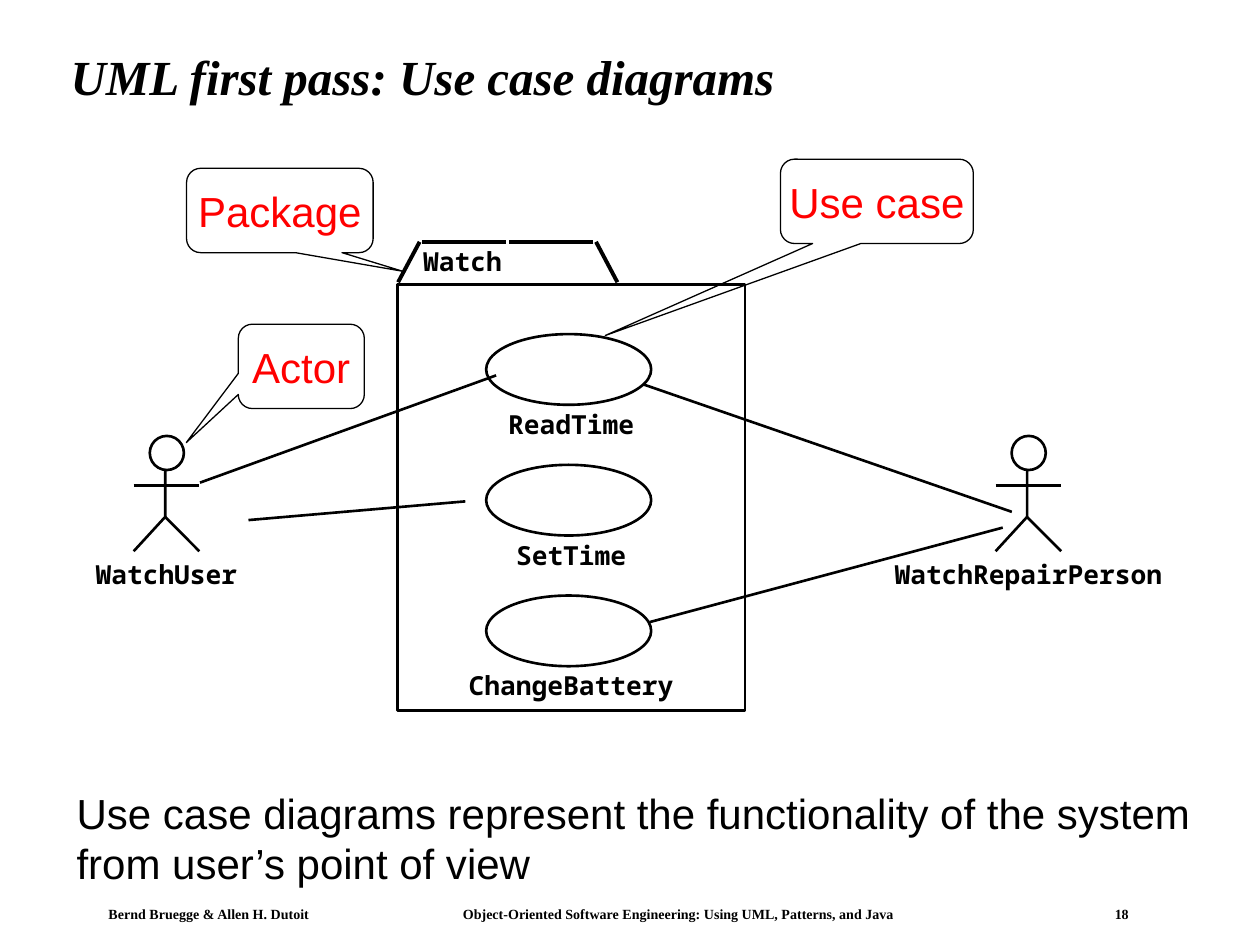
import pptx
import pptx.util
import pptx.oxml
import pptx.oxml.ns
import pptx.dml.color
import pptx.enum.shapes
import pptx.enum.text

Pt = pptx.util.Pt
Kind = pptx.enum.shapes.MSO_SHAPE
Align = pptx.enum.text.PP_ALIGN
Mid = pptx.enum.text.MSO_ANCHOR.MIDDLE
Grow = pptx.enum.text.MSO_AUTO_SIZE.SHAPE_TO_FIT_TEXT
BLACK, WHITE, RED = "000000", "FFFFFF", "FF0000"
SERIF, SANS, MONO = "Times New Roman", "Arial", "Noto Sans Mono"

TITLE = "UML first pass: Use case diagrams"
NOTE = ["Use case diagrams represent the functionality of the system",
        "from user’s point of view"]
FOOTER = ["Bernd Bruegge & Allen H. Dutoit",
          "Object-Oriented Software Engineering: Using UML, Patterns, and Java", "18"]
STOPS = [202.5, 575]
ACTORS = [("WatchUser", 76.4), ("WatchRepairPerson", 568.9)]
CASES = ["ReadTime", "SetTime", "ChangeBattery"]
LINKS = [(114.3, 275.8, 283.5, 214.5), (142, 297.2, 265.9, 286.5),
         (371.2, 355.5, 573, 301.5), (367.5, 219.6, 578.2, 292.5)]
CALLS = [("Actor", 136.2, 185.3, 72, (-0.913, 0.904)),
         ("Use case", 446, 91, 110.2, (-1.408, 1.591)),
         ("Package", 106.6, 96.2, 106.6, (0.658, 0.721))]
FRAME = (227, 162.7, 198.7, 243.4)
TAB = [(227.5, 161.3, 239.8, 138.2), (241.2, 138.2, 289.4, 138.2),
       (352.8, 161.3, 340.6, 138.2), (339.1, 138.2, 290.9, 138.2)]

deck = pptx.Presentation()
deck.slide_width, deck.slide_height = Pt(720), Pt(540)
slide = deck.slides.add_slide(deck.slide_layouts[5])
shapes = slide.shapes


def tint(code):
    return pptx.dml.color.RGBColor.from_string(code)


def pts(*nums):
    return [Pt(n) for n in nums]


def write(para, text, face, size, color=BLACK, bold=False, slant=False):
    run = para.add_run()
    run.text = text
    font = run.font
    font.name, font.size, font.bold, font.italic = face, Pt(size), bold, slant
    font.color.rgb = tint(color)


def inset(frame, side, top):
    frame.margin_left = frame.margin_right = Pt(side)
    frame.margin_top = frame.margin_bottom = Pt(top)


def box(spot, lines, face, size, bold=False, pad=(0, 0), align=Align.LEFT):
    frame = shapes.add_textbox(*pts(*spot)).text_frame
    frame.word_wrap, frame.auto_size = False, Grow
    inset(frame, *pad)
    for i, text in enumerate(lines):
        para = frame.add_paragraph() if i else frame.paragraphs[0]
        para.alignment = align
        write(para, text, face, size, bold=bold)
    return frame


def label(name, mid, top):
    wide = 9.1 * len(name) + 4
    box((mid - wide / 2, top, wide, 18), [name], MONO, 15, True, align=Align.CENTER)


def style(shape, fill=None, width=1.5):
    shape.shadow.inherit = False
    if fill:
        shape.fill.solid()
        shape.fill.fore_color.rgb = tint(fill)
    else:
        shape.fill.background()
    shape.line.color.rgb = tint(BLACK)
    shape.line.width = Pt(width)
    return shape


def draw(kind, spot, fill=None, width=1.5):
    return style(shapes.add_shape(kind, *pts(*spot)), fill, width)


def link(ends, width=1.5):
    line = shapes.add_connector(pptx.enum.shapes.MSO_CONNECTOR.STRAIGHT, *pts(*ends))
    line.line.color.rgb = tint(BLACK)
    line.line.width = Pt(width)
    props = line._element.spPr
    props.append(props.makeelement(pptx.oxml.ns.qn("a:effectLst"), {}))


def actor(name, x):
    path = shapes.build_freeform(Pt(x + 18), Pt(262.8))
    path.add_line_segments([pts(x + 18, 295.4), pts(x, 315)], close=False)
    style(path.convert_to_shape())
    link((x + 18, 295.4, x + 37.5, 315))
    link((x, 277.5, x + 37.5, 277.5))
    draw(Kind.OVAL, (x + 9.2, 249.1, 19.5, 19.5), WHITE)
    label(name, x + 18.75, 318.9)


def callout(text, left, top, wide, tip):
    shape = draw(Kind.ROUNDED_RECTANGULAR_CALLOUT, (left, top, wide, 48.2), WHITE, 0.75)
    for i, part in enumerate((*tip, 0.167)):
        shape.adjustments[i] = part
    frame = shape.text_frame
    frame.word_wrap, frame.vertical_anchor = False, Mid
    para = frame.paragraphs[0]
    para.alignment = Align.CENTER
    write(para, text, SANS, 24, RED)


head = shapes.title
head.left, head.top, head.width, head.height = pts(33.1, 17.6, 642.2, 55.4)
head.text_frame.vertical_anchor = Mid
para = head.text_frame.paragraphs[0]
para.alignment, para.line_spacing = Align.LEFT, 0.9
write(para, TITLE, SERIF, 28, bold=True, slant=True)

foot = box((56.2, 514.8, 595.4, 15.1), ["\t".join(FOOTER)], SERIF, 8, True, (5.8, 2.9))
props = foot.paragraphs[0]._p.get_or_add_pPr()
tabs = props.makeelement(pptx.oxml.ns.qn("a:tabLst"), {})
for stop in STOPS:
    tabs.append(tabs.makeelement(pptx.oxml.ns.qn("a:tab"),
                                 {"pos": str(int(Pt(stop))), "algn": "l"}))
props.append(tabs)

for item in ACTORS:
    actor(*item)
for i, name in enumerate(CASES):
    top = 190.9 + 74.7 * i
    draw(Kind.OVAL, (277.8, top, 94.3, 40.4))
    label(name, 326.4, top + 42.4)
for ends in LINKS:
    link(ends)
for item in CALLS:
    callout(*item)
draw(Kind.RECTANGLE, FRAME)
for ends in TAB:
    link(ends, 2.25)
box((234.7, 136.8, 59.8, 25.2), ["Watch"], MONO, 15, True, (7.2, 3.6))
box((36.7, 446.4, 650.9, 64.8), NOTE, SANS, 24, pad=(7.2, 3.6))

deck.save("out.pptx")
